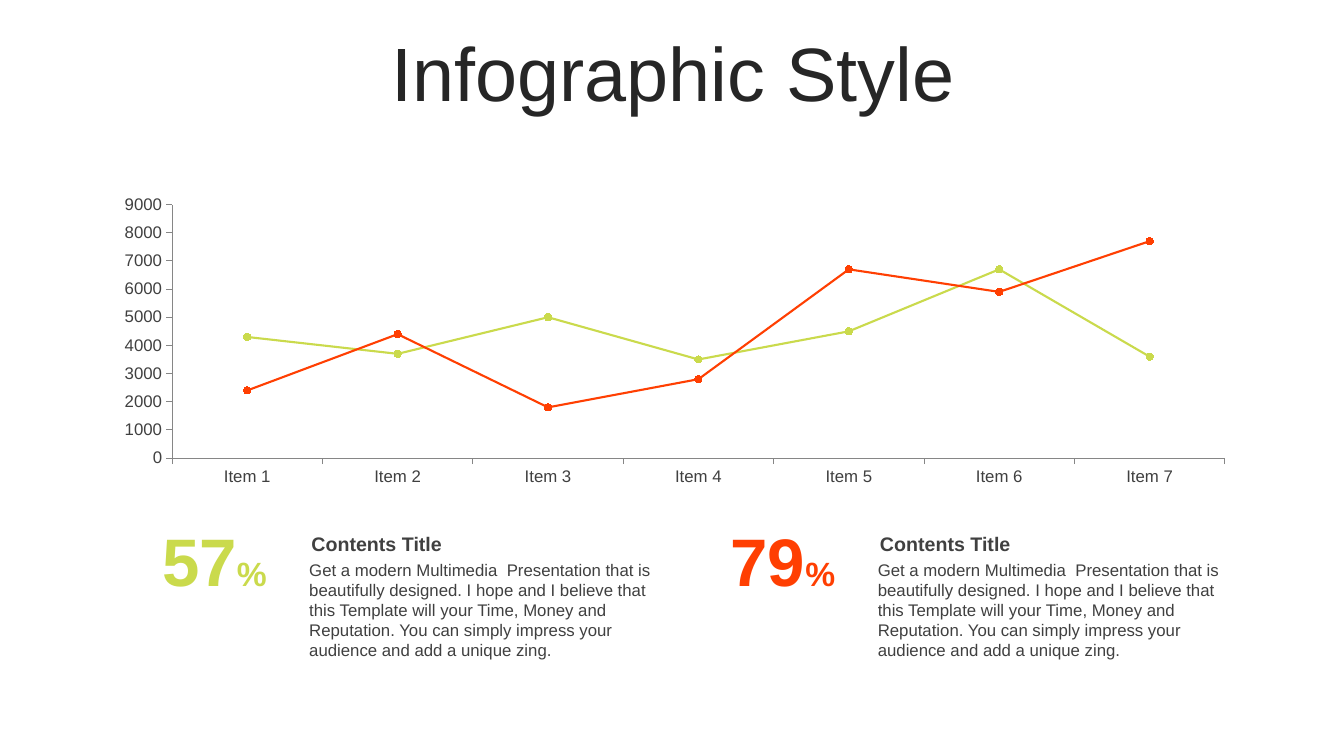
import dataclasses

import pptx
import pptx.chart.data
import pptx.dml.color
import pptx.enum.chart
import pptx.enum.dml
import pptx.enum.text
import pptx.util

Pt = pptx.util.Pt
MIDDLE = pptx.enum.text.MSO_ANCHOR.MIDDLE


@dataclasses.dataclass(frozen=True)
class Theme:
    """Colours, font and type sizes of the slide."""
    font: str = "Arial"
    heading: str = "262626"
    text: str = "404040"
    axis: str = "868686"
    grid: str = "FFFFFF"
    green: str = "CADA4C"
    orange: str = "FF3F02"
    title_size: int = 54
    figure_size: int = 48
    percent_size: int = 24
    subtitle_size: int = 14
    body_size: int = 12


THEME = Theme()
ITEMS = [f"Item {number}" for number in range(1, 8)]
SERIES = [
    ("Series 1", (4300, 3700, 5000, 3500, 4500, 6700, 3600), THEME.green),
    ("Series 2", (2400, 4400, 1800, 2800, 6700, 5900, 7700), THEME.orange),
]
FIGURES = [("57", THEME.green), ("79", THEME.orange)]
FIRST_LEFT, COLUMN_STEP = 108.7, 406.1
BODY = (
    "Get a modern Multimedia  Presentation that is beautifully designed. "
    "I hope and I believe that this Template will your Time, Money and Reputation. "
    "You can simply impress your audience and add a unique zing."
)


def rgb(value):
    """Turn a hexadecimal string into a colour."""
    return pptx.dml.color.RGBColor.from_string(value)


def style_font(font, size, color, bold=False):
    """Apply the theme font with a size, colour and weight."""
    font.name = THEME.font
    font.size = Pt(size)
    font.bold = bold
    font.color.rgb = rgb(color)


def add_text(slide, box, runs, color, bold=False, anchor=None, inset=7.2):
    """Add a wrapped text box of (text, size) runs and return its paragraph."""
    shape = slide.shapes.add_textbox(*map(Pt, box))
    frame = shape.text_frame
    frame.word_wrap = True
    frame.margin_left = frame.margin_right = Pt(inset)
    frame.vertical_anchor = anchor
    paragraph = frame.paragraphs[0]
    for text, size in runs:
        run = paragraph.add_run()
        run.text = text
        style_font(run.font, size, color, bold)
    return paragraph


def add_title(slide):
    """Add the centred slide title."""
    paragraph = add_text(slide, (25.2, 26.6, 911.5, 56.9),
                         [("Infographic Style", THEME.title_size)],
                         THEME.heading, anchor=MIDDLE)
    paragraph.alignment = pptx.enum.text.PP_ALIGN.CENTER
    paragraph.line_spacing = 0.9


def style_axis(axis):
    """Give an axis its line, outer ticks and label font."""
    axis.major_tick_mark = pptx.enum.chart.XL_TICK_MARK.OUTSIDE
    axis.minor_tick_mark = pptx.enum.chart.XL_TICK_MARK.NONE
    axis.format.line.color.rgb = rgb(THEME.axis)
    axis.format.line.width = Pt(0.75)
    style_font(axis.tick_labels.font, THEME.body_size, THEME.text)


def style_series(series, color):
    """Draw a series as a straight line with round markers."""
    series.smooth = False
    series.format.line.color.rgb = rgb(color)
    series.format.line.width = Pt(1.5)
    marker = series.marker
    marker.style = pptx.enum.chart.XL_MARKER_STYLE.CIRCLE
    marker.size = 5
    marker.format.fill.solid()
    marker.format.fill.fore_color.rgb = rgb(color)
    marker.format.line.color.rgb = rgb(color)


def add_line_chart(slide):
    """Add the line chart that compares both series."""
    data = pptx.chart.data.CategoryChartData()
    data.categories = ITEMS
    for name, values, _ in SERIES:
        data.add_series(name, values)
    chart = slide.shapes.add_chart(
        pptx.enum.chart.XL_CHART_TYPE.LINE_MARKERS,
        Pt(72.7), Pt(135.4), Pt(818.6), Pt(216), data).chart
    chart.has_legend = False
    chart.has_title = False
    style_font(chart.font, THEME.body_size, THEME.text)
    chart.plots[0].vary_by_categories = False
    for axis in (chart.category_axis, chart.value_axis):
        style_axis(axis)
    value_axis = chart.value_axis
    value_axis.minimum_scale, value_axis.maximum_scale = 0, 9000
    value_axis.major_unit = 1000
    grid = value_axis.major_gridlines.format.line
    grid.color.rgb = rgb(THEME.grid)
    grid.width = Pt(0.75)
    grid.dash_style = pptx.enum.dml.MSO_LINE.DASH
    for series, (_, _, color) in zip(chart.plots[0].series, SERIES):
        style_series(series, color)


def add_figure(slide, left, number, color):
    """Add a percentage with its subtitle and description."""
    text_left = left + 105.1
    add_text(slide, (text_left, 396, 264, 79.9),
             [(BODY, THEME.body_size)], THEME.text)
    add_text(slide, (text_left, 376.6, 264, 24.5),
             [("Contents Title", THEME.subtitle_size)], THEME.text, bold=True, inset=8.64)
    add_text(slide, (left, 367.2, 91.4, 65.5),
             [(number, THEME.figure_size), ("%", THEME.percent_size)],
             color, bold=True, anchor=MIDDLE)


def main():
    """Build the slide and save it."""
    presentation = pptx.Presentation()
    presentation.slide_width, presentation.slide_height = Pt(960), Pt(540)
    slide = presentation.slides.add_slide(presentation.slide_layouts[6])
    add_title(slide)
    add_line_chart(slide)
    for column, (number, color) in enumerate(FIGURES):
        add_figure(slide, FIRST_LEFT + column * COLUMN_STEP, number, color)
    presentation.save("out.pptx")


if __name__ == "__main__":
    main()
